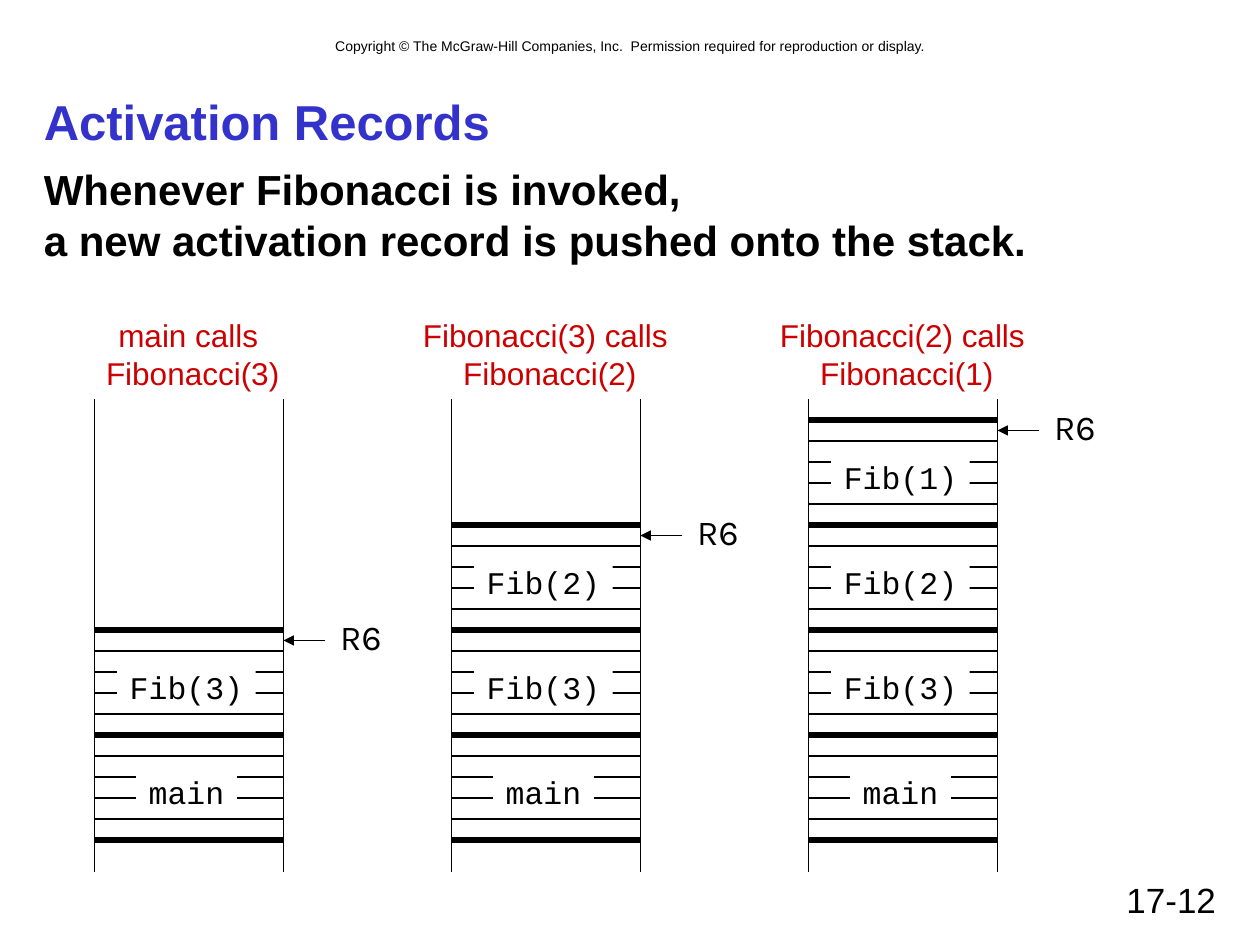
from lxml.etree import SubElement
from pptx import Presentation
from pptx.dml.color import RGBColor
from pptx.enum.shapes import MSO_CONNECTOR, MSO_SHAPE
from pptx.enum.text import MSO_ANCHOR, MSO_AUTO_SIZE, PP_ALIGN
from pptx.oxml.ns import qn
from pptx.util import Inches, Pt

COPYRIGHT = ("Copyright © The McGraw-Hill Companies, Inc.  "
             "Permission required for reproduction or display.")
TITLE = "Activation Records"
BODY = "Whenever Fibonacci is invoked,\va new activation record is pushed onto the stack."
PAGE_NUMBER = "17-12"
POINTER = "R6"
# Caption of each stack, and its records from the bottom up
STACKS = [
    ("main calls \vFibonacci(3)", ["main", "Fib(3)"]),
    ("Fibonacci(3) calls \vFibonacci(2)", ["main", "Fib(3)", "Fib(2)"]),
    ("Fibonacci(2) calls \vFibonacci(1)", ["main", "Fib(3)", "Fib(2)", "Fib(1)"]),
]

THEME = {
    "black": RGBColor(0x00, 0x00, 0x00),
    "white": RGBColor(0xFF, 0xFF, 0xFF),
    "blue": RGBColor(0x33, 0x33, 0xCC),
    "red": RGBColor(0xCC, 0x00, 0x00),
    # font, size, colour, bold
    "copyright": ("Arial", 8, "black", False),
    "title": ("Arial", 28, "blue", True),
    "body": ("Arial", 24, "black", True),
    "number": ("Arial", 20, "black", False),
    "caption": ("Arial", 18, "red", False),
    "record": ("Courier New", 18, "black", False),
    "pointer": ("Karla", 20, "black", False),
    "thin": 0.75,
    "thick": 3,
}

FIRST_LEFT, STACK_PITCH, STACK_WIDTH = 0.75, 17 / 6, 1.5
SIDE_TOP, SIDE_BOTTOM = 3.17, 6.92
BASE = 20 / 3
CELL = 1 / 6
CELLS_PER_RECORD = 5
CAPTION_CENTER, CAPTION_WIDTH = 0.78, 2.6
LABEL_CENTER = 0.73
LABEL_WIDTHS = {"main": 0.8}
ARROW_LENGTH = 0.33


def write(shape, text, style, align=PP_ALIGN.LEFT, anchor=MSO_ANCHOR.TOP, wrap=True):
    font_name, size, color, bold = THEME[style]
    frame = shape.text_frame
    frame.word_wrap = wrap
    frame.auto_size = MSO_AUTO_SIZE.NONE if wrap else MSO_AUTO_SIZE.SHAPE_TO_FIT_TEXT
    frame.vertical_anchor = anchor
    frame.text = text
    paragraph = frame.paragraphs[0]
    paragraph.alignment = align
    for span in paragraph.runs:
        span.font.name = font_name
        span.font.size = Pt(size)
        span.font.bold = bold
        span.font.color.rgb = THEME[color]


def add_text(page, left, top, width, height, text, style, **options):
    box = page.shapes.add_textbox(*map(Inches, (left, top, width, height)))
    write(box, text, style, **options)


def add_line(page, start, end, weight="thin", arrow=False):
    line = page.shapes.add_connector(
        MSO_CONNECTOR.STRAIGHT, *map(Inches, (*start, *end)))
    line.line.color.rgb = THEME["black"]
    line.line.width = Pt(THEME[weight])
    if arrow:
        SubElement(line.line._get_or_add_ln(), qn("a:tailEnd"), type="triangle")
    SubElement(line._element.spPr, qn("a:effectLst"))


def add_record(page, left, top, name):
    """Draw the inner and bottom rules of one record, then its label over them."""
    for row in range(1, CELLS_PER_RECORD + 1):
        y = top + row * CELL
        weight = "thick" if row == CELLS_PER_RECORD else "thin"
        add_line(page, (left, y), (left + STACK_WIDTH, y), weight)
    width = LABEL_WIDTHS.get(name, 1.1)
    label = page.shapes.add_shape(
        MSO_SHAPE.RECTANGLE, Inches(left + LABEL_CENTER - width / 2),
        Inches(top + 0.25), Inches(width), Inches(0.4))
    label.shadow.inherit = False
    label.fill.solid()
    label.fill.fore_color.rgb = THEME["white"]
    label.line.fill.background()
    write(label, name, "record", align=PP_ALIGN.CENTER, wrap=False)


def add_stack(page, left, caption, records):
    right = left + STACK_WIDTH
    add_text(page, left + CAPTION_CENTER - CAPTION_WIDTH / 2, 2.46,
             CAPTION_WIDTH, 0.7, caption, "caption",
             align=PP_ALIGN.CENTER, anchor=MSO_ANCHOR.MIDDLE)
    for x in (left, right):
        add_line(page, (x, SIDE_TOP), (x, SIDE_BOTTOM))

    top = BASE
    for name in records:
        top -= CELLS_PER_RECORD * CELL
        add_record(page, left, top, name)
    add_line(page, (left, top), (right, top), "thick")

    arrow_y = top + CELL / 2
    add_line(page, (right + ARROW_LENGTH, arrow_y), (right, arrow_y), arrow=True)
    add_text(page, right + 0.35, top - CELL, 0.53, 0.44, POINTER, "pointer",
             align=PP_ALIGN.CENTER, wrap=False)


def main():
    deck = Presentation()
    deck.slide_width, deck.slide_height = Inches(10), Inches(7.5)
    page = deck.slides.add_slide(deck.slide_layouts[6])

    add_text(page, 0.67, 0.25, 8.67, 0.24, COPYRIGHT, "copyright",
             align=PP_ALIGN.CENTER)
    add_text(page, 7.17, 6.92, 2.58, 0.42, PAGE_NUMBER, "number",
             align=PP_ALIGN.RIGHT)
    add_text(page, 0.25, 0.67, 9.5, 0.58, TITLE, "title",
             anchor=MSO_ANCHOR.MIDDLE)
    add_text(page, 0.25, 1.25, 9.5, 5.42, BODY, "body")

    for index, (caption, records) in enumerate(STACKS):
        add_stack(page, FIRST_LEFT + index * STACK_PITCH, caption, records)

    deck.save("out.pptx")


if __name__ == "__main__":
    main()
